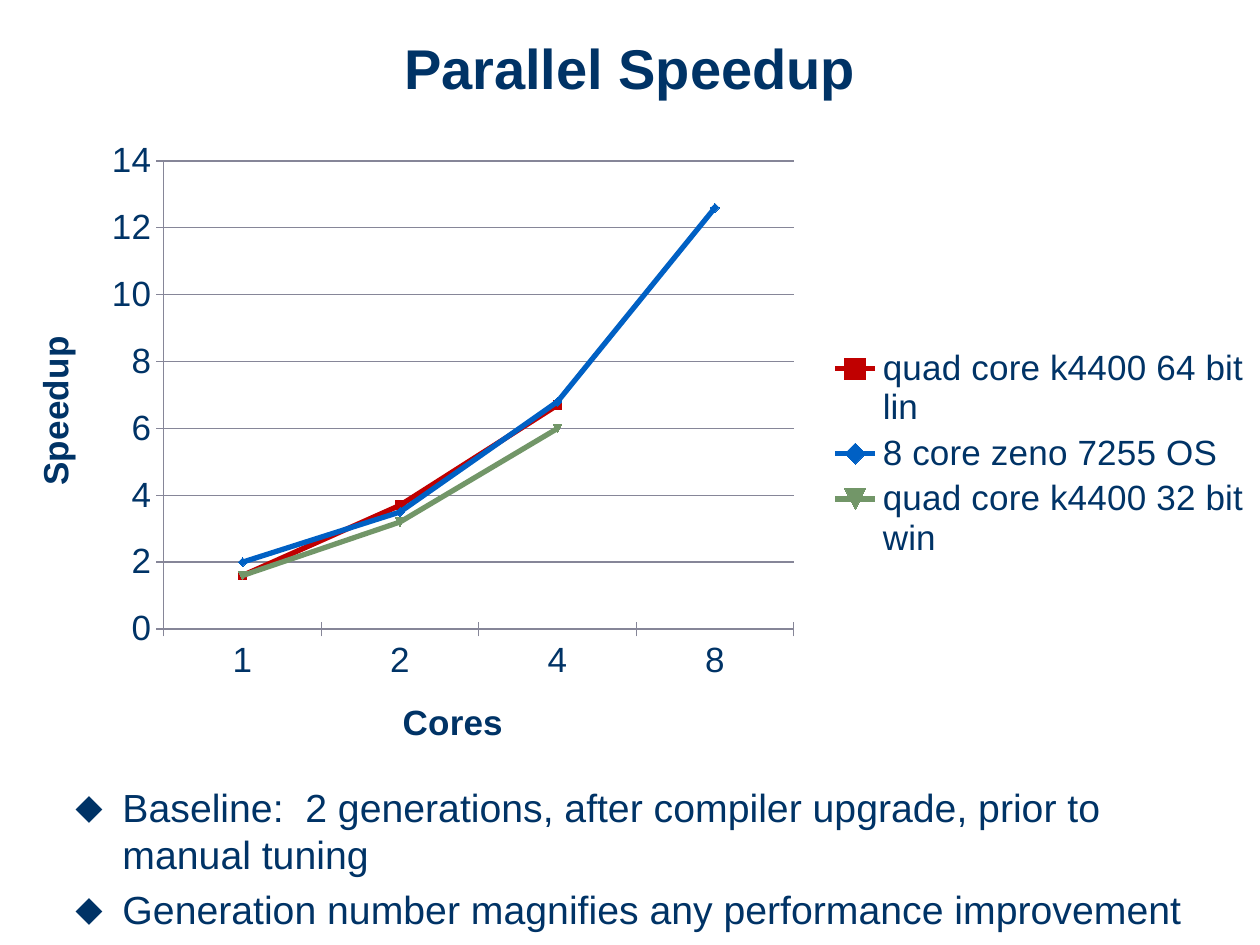
from typing import NamedTuple, Optional

from lxml import etree
from pptx import Presentation
from pptx import util as u
from pptx.chart import data as cd
from pptx.dml.color import RGBColor
from pptx.enum import chart as ch, text
from pptx.oxml import parse_xml
from pptx.oxml.ns import nsdecls, qn

FONT, NAVY, GRID = "Arial", "003366", "868698"


class Series(NamedTuple):
    """One line of the speedup chart."""
    name: str
    values: tuple[Optional[float], ...]
    color: str


CORES = ("1", "2", "4", "8")
SERIES = (
    Series("quad core k4400 64 bit lin", (1.6, 3.7, 6.7, None), "C00000"),
    Series("8 core zeno 7255 OS", (2, 3.5, 6.8, 12.6), "0060C4"),
    Series("quad core k4400 32 bit win", (1.6, 3.2, 6, None), "729668"),
)
BULLETS = (
    "Baseline:  2 generations, after compiler upgrade, prior to manual tuning",
    "Generation number magnifies any performance improvement",
)


def rgb(color: str) -> RGBColor:
    """Turn a hex string into a colour."""
    return RGBColor.from_string(color)


def style_font(font, size: float, bold: bool = False) -> None:
    """Apply the slide's typeface and colour."""
    font.name, font.size, font.bold = FONT, u.Pt(size), bold
    font.color.rgb = rgb(NAVY)


def set_line(line, color: str, width: float) -> None:
    """Draw a solid line of the given width in points."""
    line.color.rgb = rgb(color)
    line.width = u.Pt(width)


def place(part, index: int, box: tuple[float, ...], inner: bool = False) -> None:
    """Give a chart part a manual layout as fractions of the chart."""
    old = part.find(qn("c:layout"))
    if old is not None:
        part.remove(old)
    target = '<c:layoutTarget val="inner"/>' if inner else ""
    modes = '<c:xMode val="edge"/><c:yMode val="edge"/>'
    sizes = "".join(f'<c:{k} val="{v}"/>' for k, v in zip("xywh", box))
    part.insert(index, parse_xml(
        f'<c:layout {nsdecls("c")}><c:manualLayout>{target}{modes}{sizes}'
        '</c:manualLayout></c:layout>'))


def style_axis(axis, title: str) -> None:
    """Set an axis title, ticks and line."""
    tf = axis.axis_title.text_frame
    tf.text = title
    style_font(tf.paragraphs[0].runs[0].font, 20, True)
    style_font(axis.tick_labels.font, 20)
    axis.major_tick_mark = ch.XL_TICK_MARK.CROSS
    axis.minor_tick_mark = ch.XL_TICK_MARK.NONE
    set_line(axis.format.line, GRID, 0.75)


def add_speedup_chart(s) -> None:
    """Add the line chart of speedup by number of cores."""
    data = cd.CategoryChartData()
    data.categories = CORES
    for item in SERIES:
        data.add_series(item.name, item.values)
    chart = s.shapes.add_chart(ch.XL_CHART_TYPE.LINE_MARKERS, 0, u.Cm(2.59),
                               u.Cm(25.4), u.Cm(13.11), data).chart
    style_font(chart.font, 20)
    chart.has_title = False
    chart.has_legend = True
    chart.legend.position = ch.XL_LEGEND_POSITION.RIGHT
    chart.legend.include_in_layout = False
    style_font(chart.legend.font, 20)

    plot = chart.plots[0]
    plot.vary_by_categories = False
    for item, line in zip(SERIES, plot.series):
        line.smooth = False
        set_line(line.format.line, item.color, 3)
        line.marker.style = ch.XL_MARKER_STYLE.AUTOMATIC
        line.marker.size = 5
        line.marker.format.fill.solid()
        line.marker.format.fill.fore_color.rgb = rgb(item.color)
        set_line(line.marker.format.line, item.color, 0.75)

    style_axis(chart.category_axis, "Cores")
    axis = chart.value_axis
    style_axis(axis, "Speedup")
    axis.minimum_scale, axis.maximum_scale, axis.major_unit = 0, 14, 2
    axis.has_major_gridlines = True
    set_line(axis.major_gridlines.format.line, GRID, 0.75)

    area = chart.element.find(".//" + qn("c:plotArea"))
    legend = chart.element.find(".//" + qn("c:legend"))
    place(area, 0, (0.13, 0.05, 0.5, 0.72), inner=True)
    place(legend, 1, (0.65, 0.33, 0.35, 0.34))


def add_text(s, top: float, height: float, lines: tuple[str, ...],
             size: float, bold: bool = False) -> list:
    """Add a text box across the slide and return its paragraphs."""
    tf = s.shapes.add_textbox(u.Cm(1.27), u.Cm(top), u.Cm(22.86),
                              u.Cm(height)).text_frame
    tf.word_wrap = True
    tf.text = "\n".join(lines)
    for p in tf.paragraphs:
        style_font(p.runs[0].font, size, bold)
    return list(tf.paragraphs)


def add_bullet(p) -> None:
    """Give a paragraph a diamond bullet and a hanging indent."""
    p.space_before = u.Pt(4.5)
    pPr = p._p.get_or_add_pPr()
    pPr.set("marL", str(u.Cm(0.95)))
    pPr.set("indent", str(-u.Cm(0.95)))
    color = etree.SubElement(pPr, qn("a:buClr"))
    etree.SubElement(color, qn("a:srgbClr")).set("val", NAVY)
    etree.SubElement(pPr, qn("a:buFont")).set("typeface", FONT)
    etree.SubElement(pPr, qn("a:buChar")).set("char", "\u2b25")


def main() -> None:
    """Build the slide and save it."""
    prs = Presentation()
    prs.slide_width, prs.slide_height = u.Cm(25.4), u.Cm(19.05)
    s = prs.slides.add_slide(prs.slide_layouts[6])
    add_speedup_chart(s)
    title = add_text(s, 0.76, 3.18, ("Parallel Speedup",), 32, True)[0]
    title.alignment = text.PP_ALIGN.CENTER
    title.line_spacing = 0.85
    for p in add_text(s, 15.67, 3.15, BULLETS, 22.4):
        add_bullet(p)
    prs.save("out.pptx")


main()
